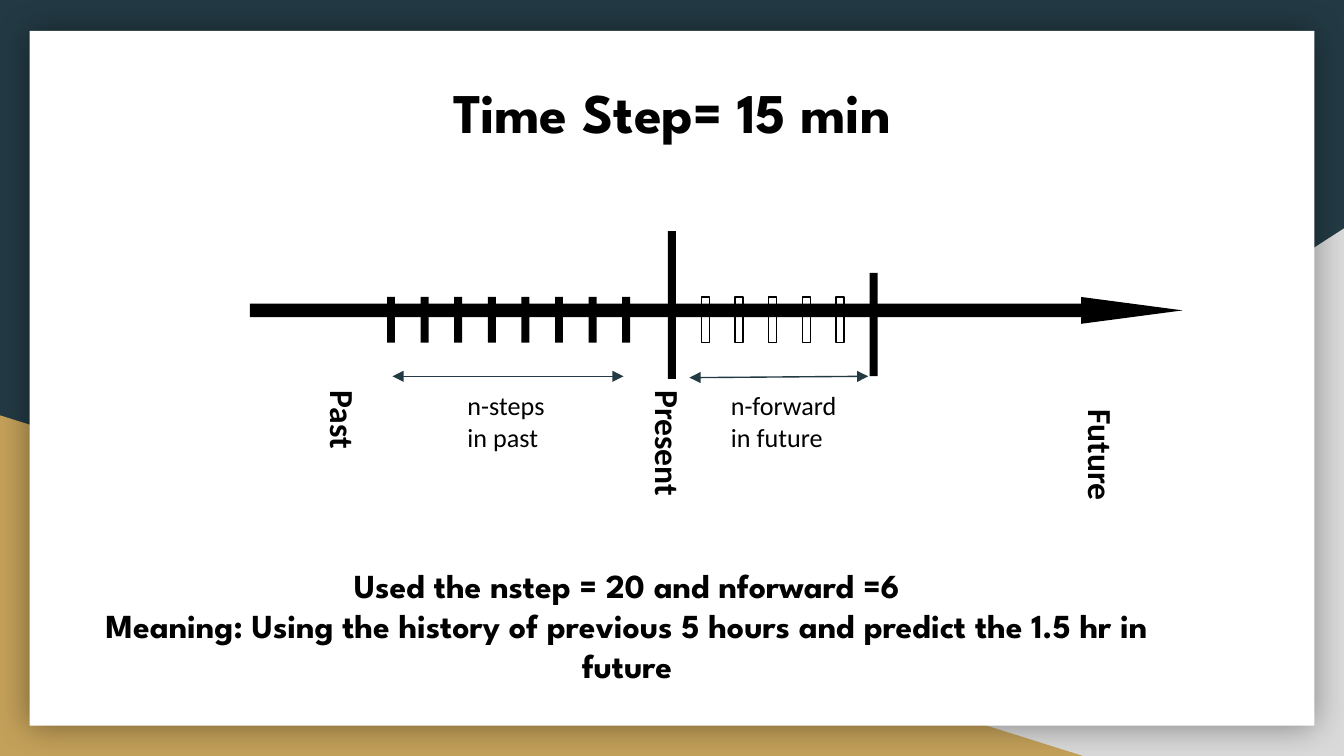
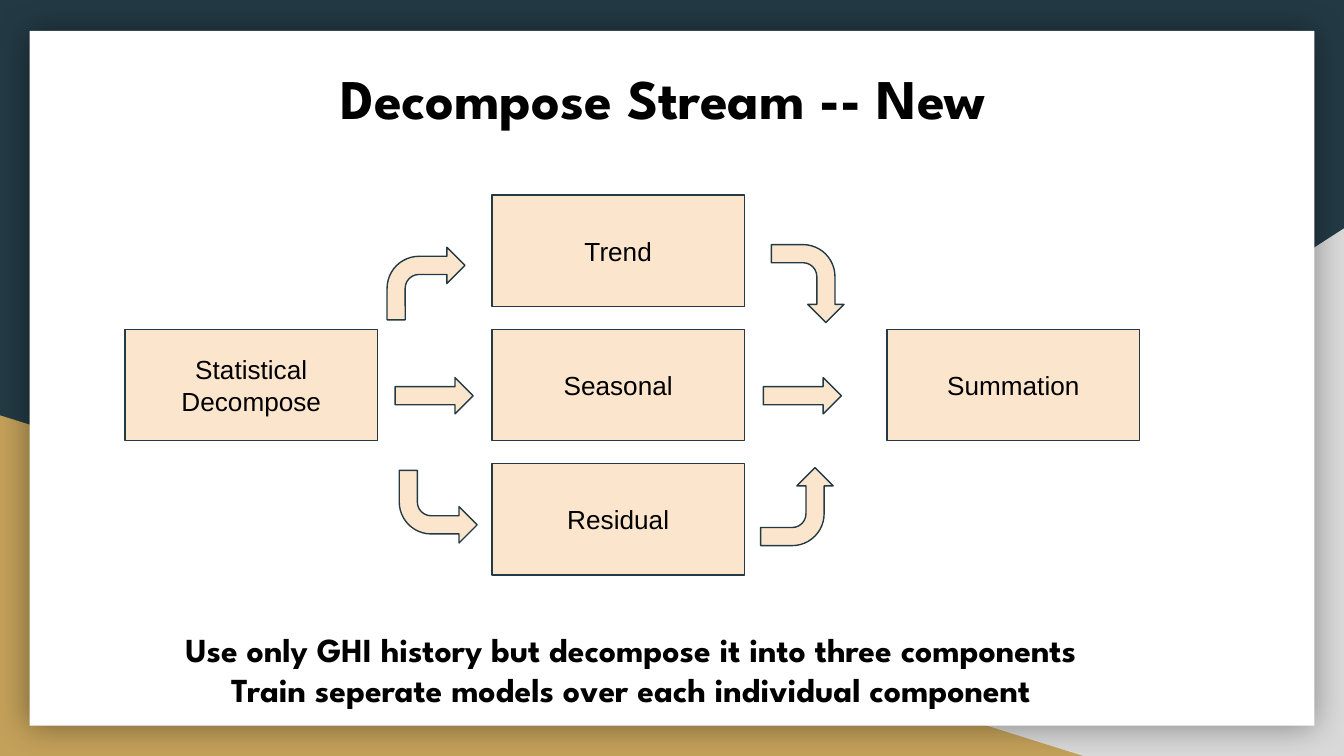
from lxml import etree
from pptx import Presentation
from pptx.dml.color import RGBColor
from pptx.enum.shapes import MSO_CONNECTOR, MSO_SHAPE
from pptx.enum.text import MSO_ANCHOR, PP_ALIGN
from pptx.oxml.ns import qn
from pptx.util import Inches, Pt

NAVY = RGBColor(0x23, 0x3A, 0x44)
GREY = RGBColor(0xD9, 0xD9, 0xD9)
GOLD = RGBColor(0xC4, 0xA1, 0x5A)
PEACH = RGBColor(0xFC, 0xE5, 0xCD)
WHITE = RGBColor(0xFF, 0xFF, 0xFF)
BLACK = RGBColor(0, 0, 0)

RECT = MSO_SHAPE.RECTANGLE
WEDGE = MSO_SHAPE.RIGHT_TRIANGLE
ARROW = MSO_SHAPE.RIGHT_ARROW
BEND = MSO_SHAPE.BENT_ARROW
STRAIGHT = MSO_CONNECTOR.STRAIGHT
LEFT, CENTER = PP_ALIGN.LEFT, PP_ALIGN.CENTER
TOP, MIDDLE = MSO_ANCHOR.TOP, MSO_ANCHOR.MIDDLE

WIDTH = 10
HEIGHT = WIDTH * 9 / 16
MARGIN = Inches(0.1)
FRAME = {"word_wrap": True, "margin_left": MARGIN, "margin_right": MARGIN,
         "margin_top": MARGIN, "margin_bottom": MARGIN}
TITLE = {"name": "League Spartan", "size": Pt(30), "bold": True}
BODY = {**TITLE, "size": Pt(18)}
LABEL = {"name": "Calibri", "size": Pt(18), "bold": True}
NOTE = {"name": "Calibri", "size": Pt(14), "bold": False}
BLOCK = {"name": "Arial", "size": Pt(14), "bold": False}


def put(target, values):
    """Set each named attribute on the target."""
    for key, value in values.items():
        setattr(target, key, value)


def write(shape, lines, font, align=LEFT, anchor=TOP):
    """Fill a shape with one paragraph per line."""
    frame = shape.text_frame
    put(frame, {**FRAME, "vertical_anchor": anchor})
    frame.text = "\n".join(lines)
    for para in frame.paragraphs:
        para.alignment = align
        put(para.font, font)
        para.font.color.rgb = BLACK


def text(slide, box, lines, font, align=LEFT, turn=0):
    """Add a text box, turned by the given degrees."""
    shape = slide.shapes.add_textbox(*map(Inches, box))
    shape.rotation = turn
    write(shape, lines, font, align)


def draw(slide, kind, box, fill=None, line=None, adjust=(), turn=0, flip=False):
    """Add a preset shape with flat colours."""
    shape = slide.shapes.add_shape(kind, *map(Inches, box))
    shape.shadow.inherit = False
    shape.rotation = turn
    for i, value in enumerate(adjust):
        shape.adjustments[i] = value
    if fill is None:
        shape.fill.background()
    else:
        shape.fill.solid()
        shape.fill.fore_color.rgb = fill
    if line is None:
        shape.line.fill.background()
    else:
        shape.line.color.rgb = line
        shape.line.width = Pt(0.75)
    if flip:
        shape._element.spPr.find(qn("a:xfrm")).set("flipH", "1")
    return shape


def span(slide, x1, y1, x2, y2):
    """Add a thin line with an arrowhead at both ends."""
    line = slide.shapes.add_connector(STRAIGHT, *map(Inches, (x1, y1, x2, y2)))
    line.line.color.rgb = NAVY
    line.line.width = Pt(0.75)
    props = line._element.spPr
    for end in ("a:headEnd", "a:tailEnd"):
        etree.SubElement(props.find(qn("a:ln")), qn(end), type="triangle")
    etree.SubElement(props, qn("a:effectLst"))


def glow(shape):
    """Give a shape a soft shadow on all sides."""
    effects = shape._element.spPr.find(qn("a:effectLst"))
    shade = etree.SubElement(effects, qn("a:outerShdw"), blurRad=str(Pt(18)),
                             dist="0", dir="0", algn="ctr", rotWithShape="0")
    color = etree.SubElement(shade, qn("a:srgbClr"), val=str(BLACK))
    etree.SubElement(color, qn("a:alpha"), val="40000")


def base(deck):
    """Add a slide with the shared backdrop and white card."""
    slide = deck.slides.add_slide(deck.slide_layouts[6])
    slide.background.fill.solid()
    slide.background.fill.fore_color.rgb = NAVY
    draw(slide, WEDGE, (3.92, 1.7, WIDTH - 3.92, HEIGHT - 1.7), GREY, flip=True)
    draw(slide, WEDGE, (0, 3.09, 8.06, HEIGHT - 3.09), GOLD)
    glow(draw(slide, RECT, (0.22, 0.23, 9.56, 5.17), WHITE))
    return slide


def heads(slide, title, spot, lines, place):
    """Add the title and the closing text at their places."""
    text(slide, (*spot, 8.21, 1.04), [title], TITLE, CENTER)
    text(slide, (*place, 8.21, 1.04), lines, BODY, CENTER)


def timeline(slide, x, y):
    """Draw the time axis, its ticks and its labels."""
    draw(slide, ARROW, (x + 0.17, y + 0.49, 6.94, 0.2), BLACK, adjust=(0.5, 3.78))
    for left, top, tall in ((3.28, 0, 1.1), (4.78, 0.31, 0.77)):
        draw(slide, RECT, (x + left, y + top, 0.06, tall), BLACK)
    for left, count, fill, line in ((1.19, 8, BLACK, None), (3.53, 5, None, BLACK)):
        for i in range(count):
            draw(slide, RECT, (x + left + 0.25 * i, y + 0.49, 0.06, 0.34), fill, line)
    for start, end, drop in ((1.23, 2.95, 1.08), (3.44, 4.77, 1.09)):
        span(slide, x + start, y + drop, x + end, y + 1.08)
    for word, left, top in (("Past", 0, 1.26), ("Present", 2.42, 1.26),
                            ("Future", 5.64, 1.4)):
        text(slide, (x + left, y + top, 1.29, 0.94), [word], LABEL, turn=90)
    for lines, left in ((("n-steps", "in past"), 1.69),
                        (("n-forward", "in future"), 3.65)):
        text(slide, (x + left, y + 1.08, 8.02, 0.94), lines, NOTE)


def flow(slide, x, y):
    """Draw the split into three parts and their sum."""
    blocks = [(word, 2.73, row) for row, word in
              enumerate(("Trend", "Seasonal", "Residual"))]
    blocks += [("Statistical Decompose", 0, 1), ("Summation", 5.67, 1)]
    for word, left, row in blocks:
        shape = draw(slide, RECT, (x + left, y + row, 1.88, 0.83), PEACH, NAVY)
        write(shape, [word], BLOCK, CENTER, MIDDLE)
    for left in (2.01, 4.75):
        draw(slide, ARROW, (x + left, y + 1.36, 0.58, 0.27), PEACH, NAVY, (0.5, 0.5))
    for left, top, turn, flip in ((1.95, 0.39, 0, False), (2.04, 2.05, 180, True),
                                  (4.79, 0.39, 90, False), (4.71, 2.05, 90, True)):
        draw(slide, BEND, (x + left, y + top, 0.58, 0.54), PEACH, NAVY,
             (0.25, 0.25, 0.25, 0.44), turn, flip)


def main():
    """Build both slides and save the deck."""
    deck = Presentation()
    deck.slide_width, deck.slide_height = Inches(WIDTH), Inches(HEIGHT)
    slide = base(deck)
    timeline(slide, 1.69, 1.72)
    heads(slide, "Time Step= 15 min", (0.9, 0.48),
          ["Used the nstep = 20 and nforward =6",
           "Meaning: Using the history of previous 5 hours and predict the 1.5 hr in future"],
          (0.56, 4.1))
    slide = base(deck)
    flow(slide, 0.93, 1.45)
    heads(slide, "Decompose Stream -- New", (0.83, 0.37),
          ["Use only GHI history but decompose it into three components",
           "Train seperate models over each individual component"],
          (0.59, 4.58))
    deck.save("out.pptx")


if __name__ == "__main__":
    main()
